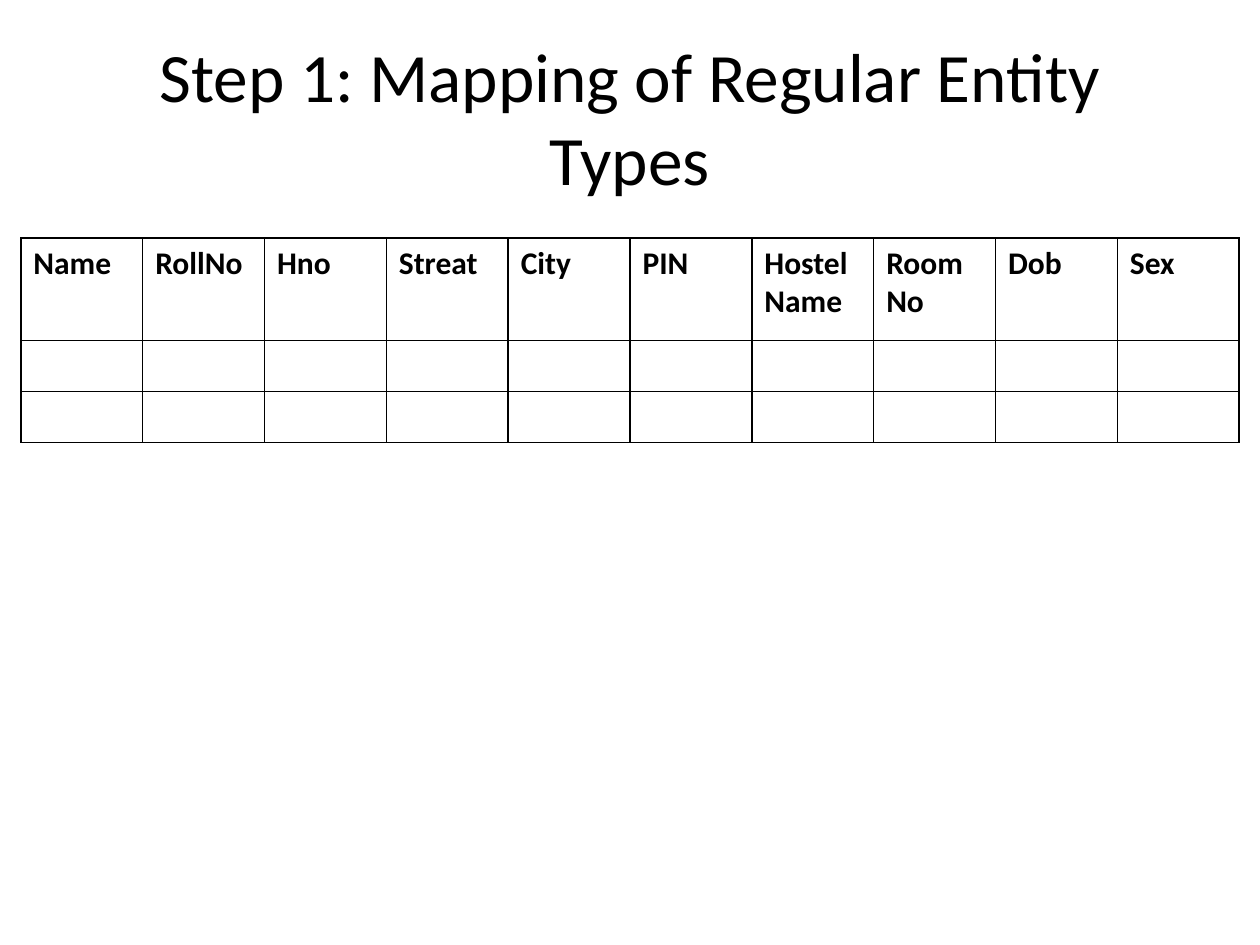
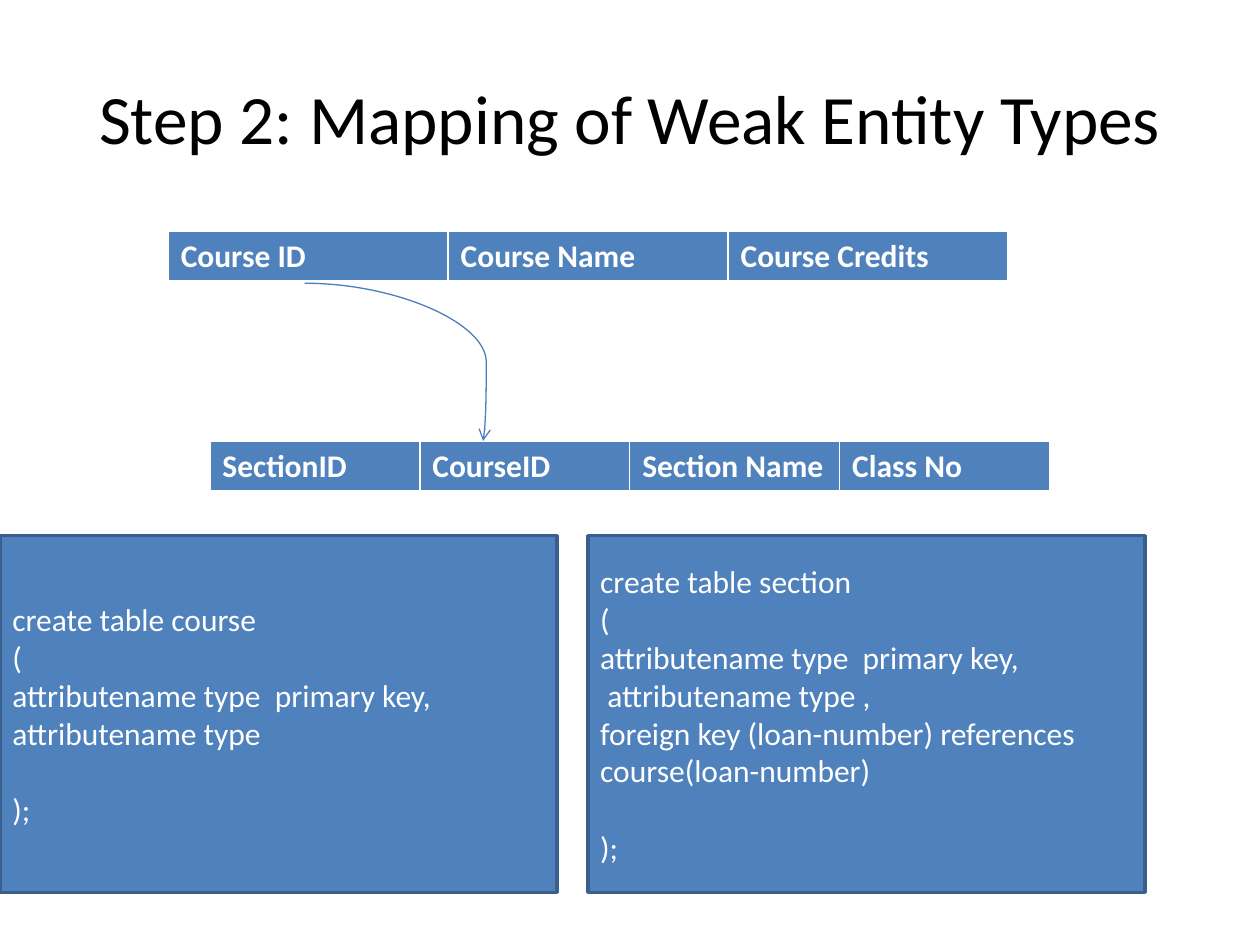
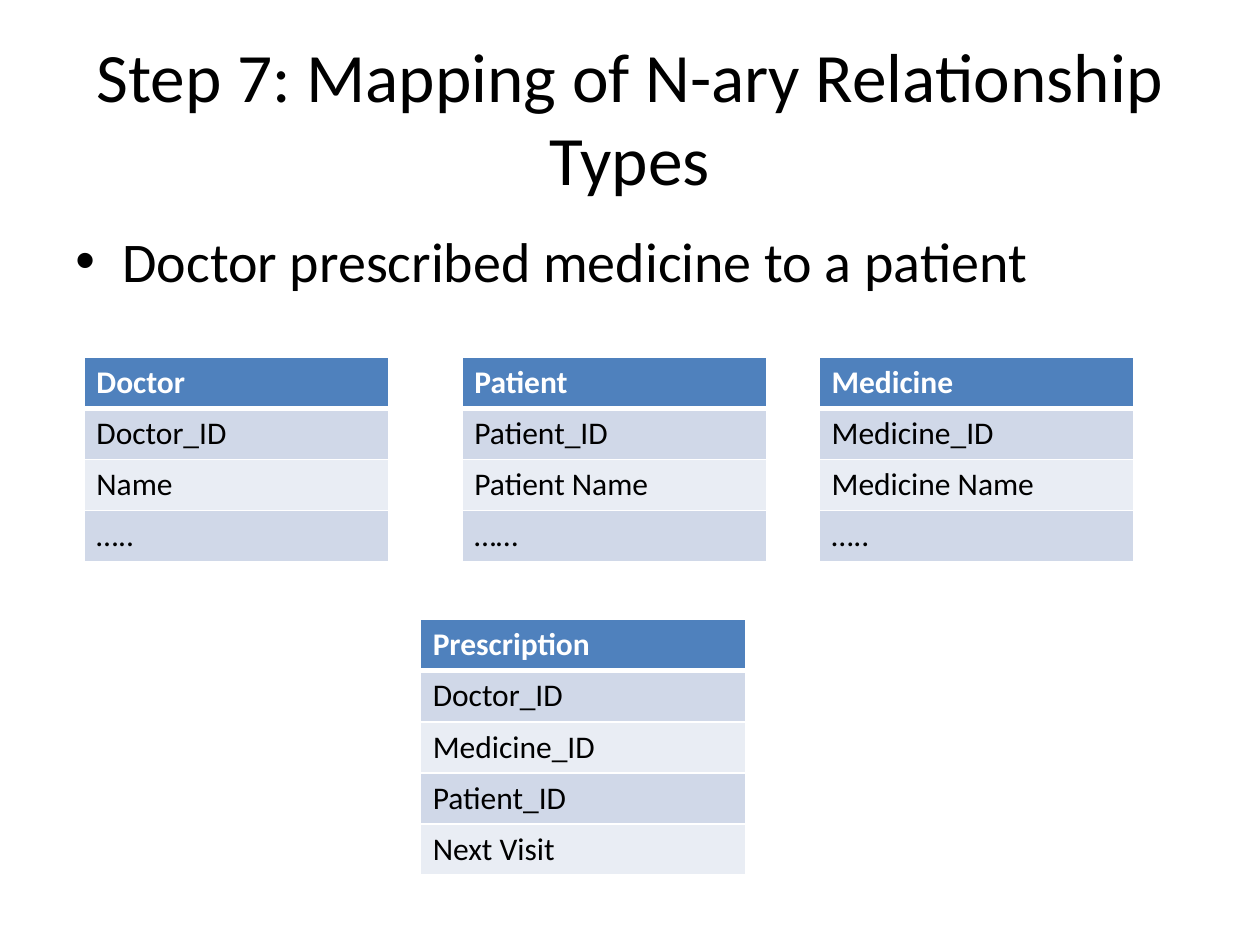
from lxml import etree
from pptx import Presentation
from pptx.dml.color import RGBColor
from pptx.enum import shapes, text
from pptx.oxml import ns
from pptx.util import Cm, Pt

COLORS = {
    "ink": "000000",
    "paper": "FFFFFF",
    "accent": "4F81BD",
    "outline": "3A5F8C",
    "arrow": "4B7EBC",
    "band_dark": "D0D8E8",
    "band_light": "E9EDF4",
}
FONT = "Calibri"
ROW_HEIGHT = 1.03
COURSE_SQL = [
    "create table course",
    "(",
    "attributename type  primary key,",
    "attributename type",
    ");",
]
SECTION_SQL = [
    "create table section",
    "(",
    "attributename type  primary key,",
    " attributename type ,",
    "foreign key (loan-number) references course(loan-number)",
    ");",
]


def rgb(name):
    return RGBColor.from_string(COLORS[name])


def add_node(parent, tag, **attributes):
    return etree.SubElement(parent, ns.qn(tag), attributes)


def write(frame, lines, size=18, color="ink", bold=False, align=text.PP_ALIGN.LEFT,
          bullet=None, last_gap=0):
    frame.word_wrap = True
    for index, line in enumerate(lines):
        paragraph = frame.paragraphs[0] if index == 0 else frame.add_paragraph()
        paragraph.alignment = align
        if bullet:
            properties = paragraph._p.get_or_add_pPr()
            properties.set("marL", str(Cm(0.95)))
            properties.set("indent", str(-Cm(0.95)))
            add_node(properties, "a:buFont", typeface="Arial")
            add_node(properties, "a:buChar", char=bullet)
        run = paragraph.add_run()
        run.text = line
        run.font.name = FONT
        run.font.size = Pt(size)
        run.font.bold = bold
        run.font.color.rgb = rgb(color)
    if last_gap:
        paragraph.space_before = Pt(last_gap)


def add_text(slide, left, top, width, height, lines, anchor=text.MSO_ANCHOR.TOP, **style):
    box = slide.shapes.add_textbox(Cm(left), Cm(top), Cm(width), Cm(height))
    box.text_frame.vertical_anchor = anchor
    write(box.text_frame, lines, **style)


def add_titled_slide(deck, title):
    slide = deck.slides.add_slide(deck.slide_layouts[6])
    add_text(slide, 1.27, 0.76, 22.86, 3.18, [title], anchor=text.MSO_ANCHOR.MIDDLE,
             size=39.6, align=text.PP_ALIGN.CENTER)
    return slide


def draw_borders(cell, color, top=1, bottom=1):
    properties = cell._tc.get_or_add_tcPr()
    for side, width in (("L", 1), ("R", 1), ("T", top), ("B", bottom)):
        line = add_node(properties, f"a:ln{side}", w=str(Pt(width)))
        add_node(add_node(line, "a:solidFill"), "a:srgbClr", val=COLORS[color])


def add_grid(slide, left, top, width, rows, heights=None, header_fill="accent",
             header_color="paper", bands=("band_dark", "band_light"),
             border="paper", header_rule=3):
    heights = heights or [ROW_HEIGHT] * len(rows)
    table = slide.shapes.add_table(len(rows), len(rows[0]), Cm(left), Cm(top),
                                   Cm(width), Cm(sum(heights))).table
    table.first_row = table.horz_banding = False
    for column in table.columns:
        column.width = Cm(width / len(rows[0]))
    for index, (entries, height) in enumerate(zip(rows, heights)):
        table.rows[index].height = Cm(height)
        header = index == 0
        for position, entry in enumerate(entries):
            cell = table.cell(index, position)
            draw_borders(cell, border, top=header_rule if index == 1 else 1,
                         bottom=header_rule if header else 1)
            cell.fill.solid()
            cell.fill.fore_color.rgb = rgb(header_fill if header else bands[(index - 1) % 2])
            if entry:
                write(cell.text_frame, [entry], bold=header,
                      color=header_color if header else "ink")


def add_entity(slide, left, top, width, names):
    add_grid(slide, left, top, width, [[name] for name in names])


def add_code_panel(slide, left, lines):
    panel = slide.shapes.add_shape(shapes.MSO_SHAPE.RECTANGLE, Cm(left), Cm(10.8),
                                   Cm(11.23), Cm(7.19))
    panel.shadow.inherit = False
    panel.fill.solid()
    panel.fill.fore_color.rgb = rgb("accent")
    panel.line.color.rgb = rgb("outline")
    panel.line.width = Pt(2)
    panel.text_frame.vertical_anchor = text.MSO_ANCHOR.MIDDLE
    write(panel.text_frame, lines, color="paper", last_gap=22)


def add_key_arrow(slide, start, end):
    arrow = slide.shapes.add_connector(shapes.MSO_CONNECTOR.CURVE,
                                       *(Cm(value) for value in (*start, *end)))
    arrow.line.color.rgb = rgb("arrow")
    arrow.line.width = Pt(0.75)
    add_node(arrow.line._get_or_add_ln(), "a:tailEnd", type="arrow")
    properties = arrow._element.spPr
    add_node(properties, "a:effectLst")
    guides = properties.find(ns.qn("a:prstGeom")).find(ns.qn("a:avLst"))
    add_node(guides, "a:gd", name="adj1", fmla="val 101800")


def build_regular_entities(deck):
    slide = add_titled_slide(deck, "Step 1: Mapping of Regular Entity Types")
    student = ["Name", "RollNo", "Hno", "Streat", "City", "PIN",
               "Hostel Name", "Room No", "Dob", "Sex"]
    blank = [""] * len(student)
    add_grid(slide, 0.42, 4.8, 24.56, [student, blank, blank],
             heights=[2.06, ROW_HEIGHT, ROW_HEIGHT], header_fill="paper",
             header_color="ink", bands=("paper", "paper"), border="ink", header_rule=1)


def build_weak_entities(deck):
    slide = add_titled_slide(deck, "Step 2: Mapping of Weak Entity Types")
    add_grid(slide, 3.39, 4.66, 16.93, [["Course ID", "Course Name", "Course Credits"]])
    add_grid(slide, 4.23, 8.89, 16.93, [["SectionID", "CourseID", "Section Name", "Class No"]])
    add_key_arrow(slide, (6.14, 5.71), (9.74, 8.89))
    add_code_panel(slide, 0, COURSE_SQL)
    add_code_panel(slide, 11.85, SECTION_SQL)


def build_nary_relationship(deck):
    slide = add_titled_slide(deck, "Step 7: Mapping of N-ary Relationship Types")
    add_text(slide, 1.27, 4.45, 22.86, 12.57, ["Doctor prescribed medicine to a patient"],
             size=32, bullet="•")
    add_entity(slide, 1.69, 7.2, 6.14, ["Doctor", "Doctor_ID", "Name", "….."])
    add_entity(slide, 8.47, 12.49, 6.56,
               ["Prescription", "Doctor_ID", "Medicine_ID", "Patient_ID", "Next Visit"])
    add_entity(slide, 16.51, 7.2, 6.35, ["Medicine", "Medicine_ID", "Medicine Name", "….."])
    add_entity(slide, 9.31, 7.2, 6.14, ["Patient", "Patient_ID", "Patient Name", "……"])


def main():
    deck = Presentation()
    deck.slide_width, deck.slide_height = Cm(25.4), Cm(19.05)
    build_regular_entities(deck)
    build_weak_entities(deck)
    build_nary_relationship(deck)
    deck.save("out.pptx")


if __name__ == "__main__":
    main()
